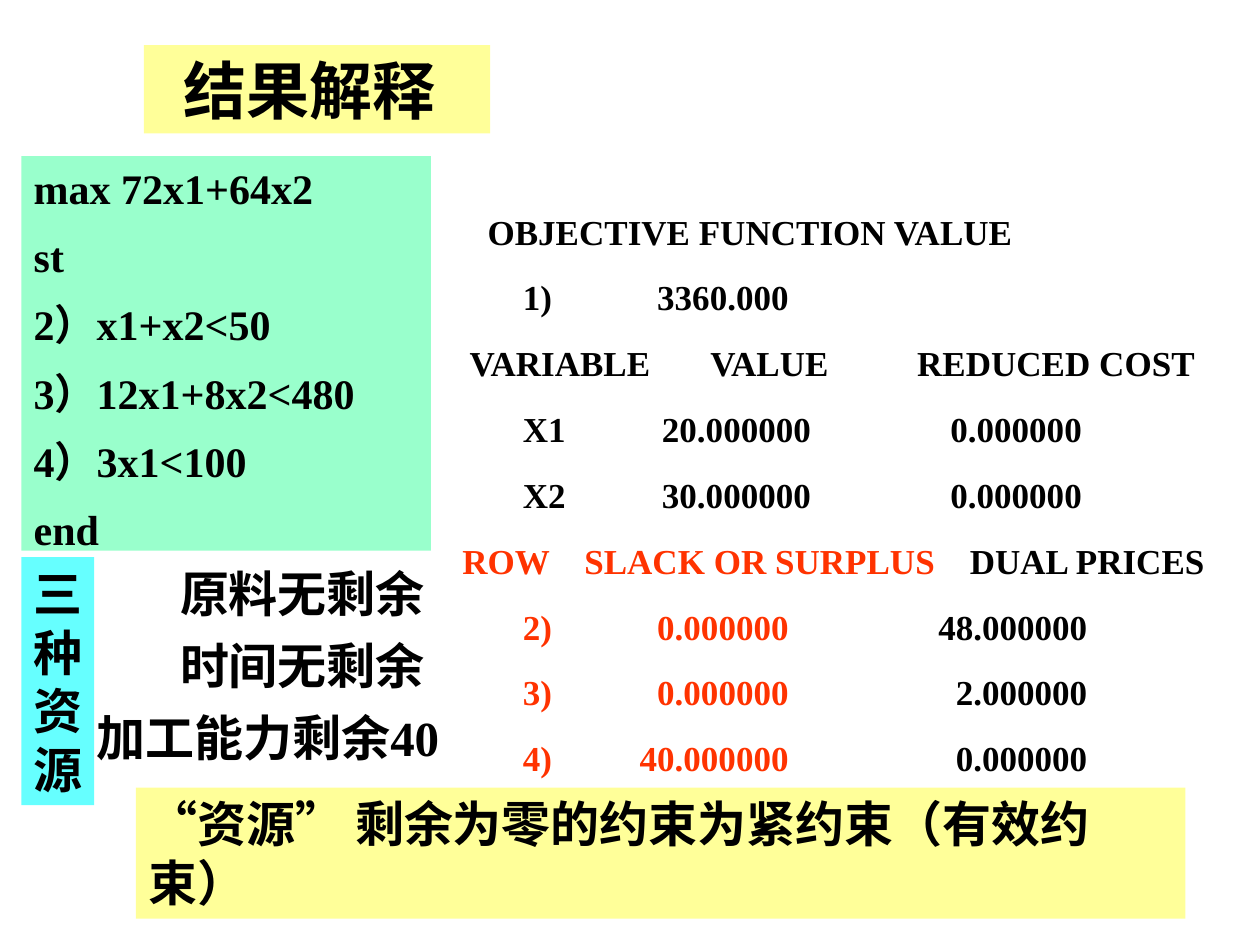
from dataclasses import dataclass

import pptx
import pptx.dml.color
import pptx.enum.shapes
import pptx.enum.text
import pptx.oxml.ns
import pptx.util
from lxml import etree

Cm = pptx.util.Cm
Pt = pptx.util.Pt
ALIGN = pptx.enum.text.PP_ALIGN


@dataclass(frozen=True)
class Theme:
    latin: str = "Times New Roman"
    cjk: str = "Noto Sans CJK SC"
    ink: str = "000000"
    accent: str = "FF3300"
    paper: str = "FFFFFF"
    yellow: str = "FFFF99"
    green: str = "99FFCC"
    cyan: str = "66FFFF"
    title: int = 36
    body: int = 28
    model: int = 24
    report: int = 20


THEME = Theme()

MODEL = ["max 72x1+64x2", "st", "2）x1+x2<50", "3）12x1+8x2<480", "4）3x1<100", "end"]

# Tab stops of the solver report: distance in cm from the text edge, alignment
HEADING_TABS = [(0.69, "l")]
OBJECTIVE_TABS = [(1.4, "l"), (6.76, "r")]
VARIABLE_HEAD_TABS = [(0.33, "l"), (5.18, "l"), (9.35, "l")]
VARIABLE_TABS = [(1.4, "l"), (7.21, "r"), (12.67, "r")]
ROW_HEAD_TABS = [(0.18, "l"), (2.64, "l"), (10.41, "l")]
ROW_TABS = [(1.4, "l"), (6.76, "r"), (12.78, "r")]

# Tab stops, cells, number of leading cells in the accent colour
REPORT = [
    (HEADING_TABS, ["OBJECTIVE FUNCTION VALUE"], 0),
    (OBJECTIVE_TABS, ["1)", "3360.000"], 0),
    (VARIABLE_HEAD_TABS, ["VARIABLE", "VALUE", "REDUCED COST"], 0),
    (VARIABLE_TABS, ["X1", "20.000000", "0.000000"], 0),
    (VARIABLE_TABS, ["X2", "30.000000", "0.000000"], 0),
    (ROW_HEAD_TABS, ["ROW", "SLACK OR SURPLUS", "DUAL PRICES"], 2),
    (ROW_TABS, ["2)", "0.000000", "48.000000"], 2),
    (ROW_TABS, ["3)", "0.000000", "2.000000"], 2),
    (ROW_TABS, ["4)", "40.000000", "0.000000"], 2),
]


def rgb(color):
    return pptx.dml.color.RGBColor.from_string(color)


def format_run(r, size, color=THEME.ink, latin=THEME.latin):
    r.font.size = Pt(size)
    r.font.bold = True
    r.font.name = latin
    r.font.color.rgb = rgb(color)
    ea = etree.SubElement(r.font._element, pptx.oxml.ns.qn("a:ea"))
    ea.set("typeface", THEME.cjk)


def set_tabs(p, tabs):
    tab_list = etree.SubElement(p._p.get_or_add_pPr(), pptx.oxml.ns.qn("a:tabLst"))
    for position, alignment in tabs:
        tab = etree.SubElement(tab_list, pptx.oxml.ns.qn("a:tab"))
        tab.set("pos", str(Cm(position)))
        tab.set("algn", alignment)


def add_panel(slide, box, fill):
    sp = slide.shapes.add_shape(
        pptx.enum.shapes.MSO_SHAPE.RECTANGLE, *map(Cm, box))
    sp.shadow.inherit = False
    sp.fill.solid()
    sp.fill.fore_color.rgb = rgb(fill)
    sp.line.fill.background()
    tf = sp.text_frame
    tf.word_wrap = True
    tf.vertical_anchor = pptx.enum.text.MSO_ANCHOR.TOP
    return tf


def write_lines(tf, lines, size, align=ALIGN.LEFT, gap=0):
    tf.text = "\n".join(lines)
    for i, p in enumerate(tf.paragraphs):
        p.alignment = align
        if i:
            p.space_before = Pt(gap)
        for r in p.runs:
            format_run(r, size)


def place_title(slide, box):
    sp = slide.shapes.title
    sp.left, sp.top, sp.width, sp.height = map(Cm, box)
    sp.fill.solid()
    sp.fill.fore_color.rgb = rgb(THEME.yellow)
    tf = sp.text_frame
    tf.text = "结果解释"
    tf.margin_right = Cm(0.55)
    tf.vertical_anchor = pptx.enum.text.MSO_ANCHOR.MIDDLE
    p = tf.paragraphs[0]
    p.alignment = ALIGN.CENTER
    format_run(p.runs[0], THEME.title, latin=THEME.cjk)


def add_report(slide, box):
    """Solver output, its columns set by tab stops."""
    tf = add_panel(slide, box, THEME.paper)
    for i, (tabs, cells, accented) in enumerate(REPORT):
        p = tf.add_paragraph() if i else tf.paragraphs[0]
        p.alignment = ALIGN.JUSTIFY
        if i:
            p.space_before = Pt(13.6)
        set_tabs(p, tabs)
        for j, cell in enumerate(cells):
            r = p.add_run()
            r.text = "\t" + cell
            format_run(r, THEME.report, THEME.accent if j < accented else THEME.ink)


def add_model(slide, box):
    tf = add_panel(slide, box, THEME.green)
    write_lines(tf, MODEL, THEME.model, ALIGN.JUSTIFY, 10.2)


def add_resources(slide, box):
    """Upright heading with one remark on each resource beside it."""
    left, top, width, height = box
    remarks = [("原料无剩余", 2.95), ("时间无剩余", 2.95), ("加工能力剩余40", 1.27)]
    pitch = 1.45
    for i, (remark, indent) in enumerate(remarks):
        sp = slide.shapes.add_textbox(
            Cm(left + indent), Cm(top + i * pitch), Cm(width - indent), Cm(pitch))
        sp.text_frame.word_wrap = True
        write_lines(sp.text_frame, [remark], THEME.body)
    tf = add_panel(slide, (left, top, 1.47, height), THEME.cyan)
    write_lines(tf, ["三种资源"], THEME.body)


def add_conclusion(slide, box):
    tf = add_panel(slide, box, THEME.yellow)
    write_lines(tf, ["“资源” 剩余为零的约束为紧约束（有效约束）"], THEME.body)


def main():
    prs = pptx.Presentation()
    prs.slide_width, prs.slide_height = Cm(25.4), Cm(19.05)
    slide = prs.slides.add_slide(prs.slide_layouts.get_by_name("Title Only"))
    place_title(slide, (2.9, 0.91, 6.98, 1.78))
    add_report(slide, (8.89, 4.11, 16.51, 11.4))
    add_model(slide, (0.43, 3.15, 8.26, 7.95))
    add_resources(slide, (0.43, 11.23, 9.04, 5))
    add_conclusion(slide, (2.74, 15.88, 21.16, 2.64))
    prs.save("out.pptx")


if __name__ == "__main__":
    main()
